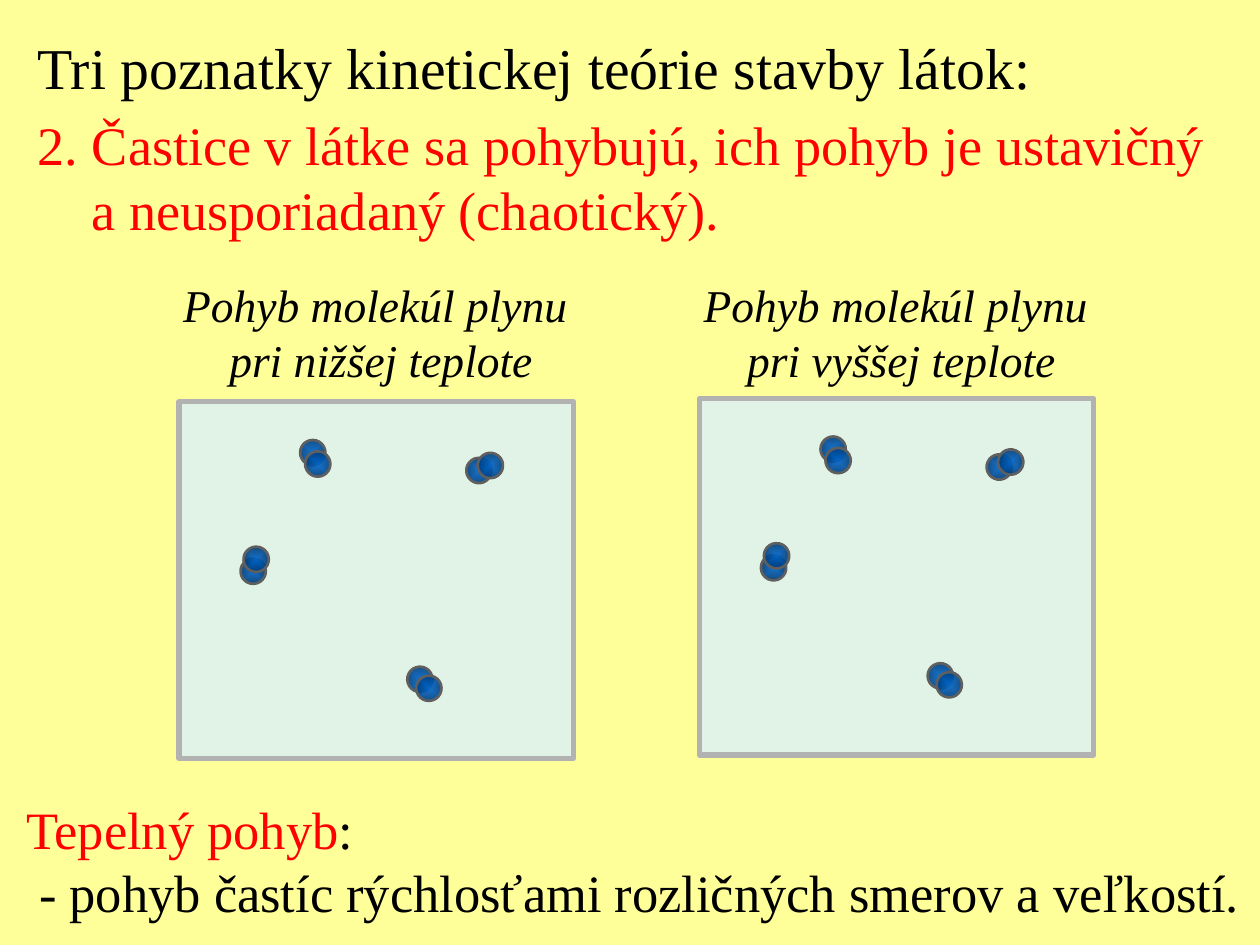
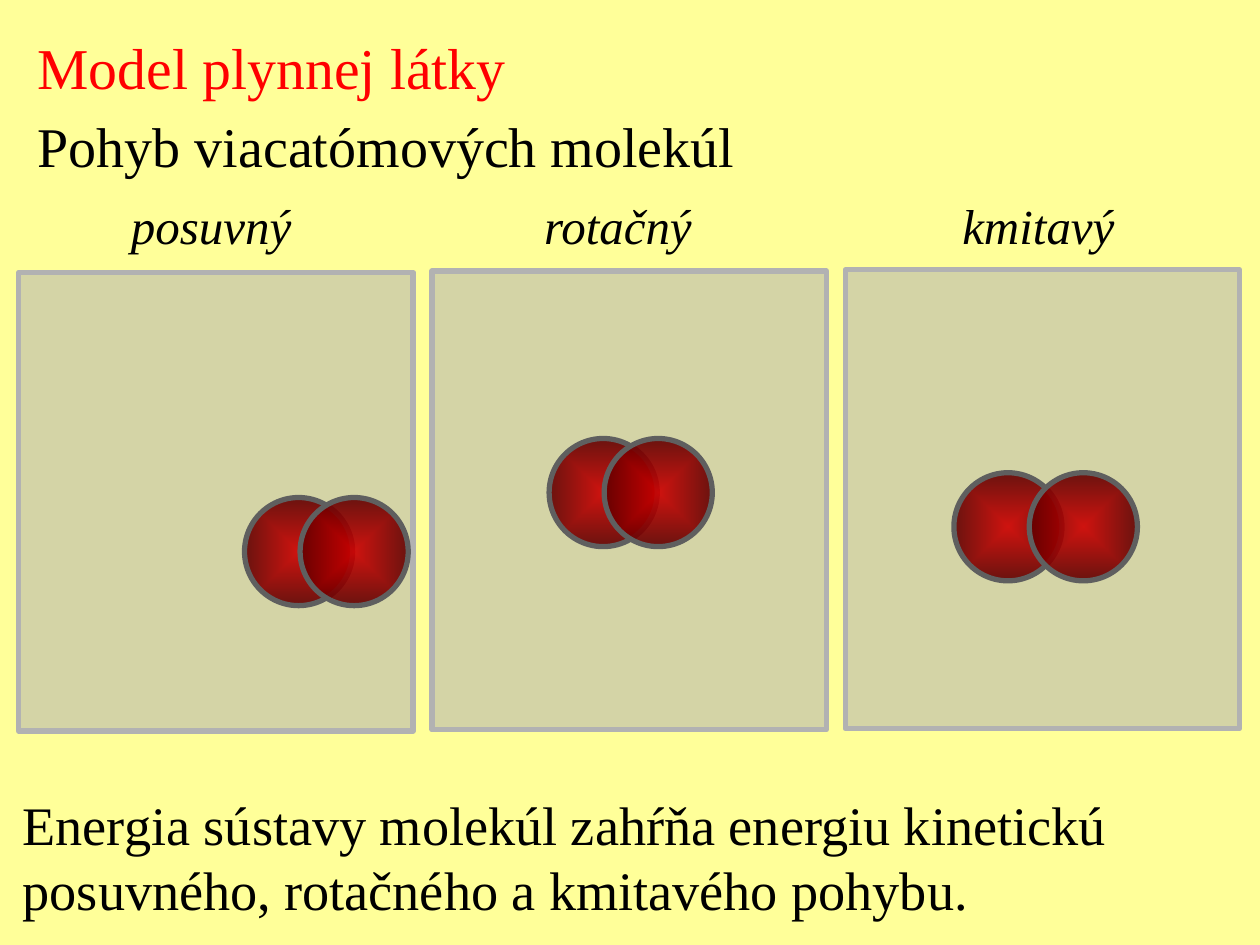
from lxml import etree
from pptx import Presentation
from pptx.dml.color import RGBColor
from pptx.enum.shapes import MSO_SHAPE
from pptx.enum.text import MSO_AUTO_SIZE, PP_ALIGN
from pptx.oxml import parse_xml
from pptx.oxml.ns import nsdecls, qn
from pptx.util import Cm, Pt

RECTANGLE, OVAL = MSO_SHAPE.RECTANGLE, MSO_SHAPE.OVAL
LEFT, CENTER = PP_ALIGN.LEFT, PP_ALIGN.CENTER
FIT_TEXT = MSO_AUTO_SIZE.SHAPE_TO_FIT_TEXT

FONT = "Times New Roman"
COLORS = {
    "background": "FFFF99",
    "text": "000000",
    "accent": "FF0000",
    "gas": "D7F0FF",
    "frame": "B2B2B2",
    "atom_line": "5F5F5F",
    "blue": "0066CC",
    "dark_blue": "002F5E",
    "red": "D00000",
    "dark_red": "5F0000",
}


def add_text(page, left, top, width, height, lines, align=LEFT, italic=False):
    """Each line is (text, size, colour name, indent in cm, points after)."""
    box = page.shapes.add_textbox(Cm(left), Cm(top), Cm(width), Cm(height))
    frame = box.text_frame
    frame.word_wrap = False
    frame.auto_size = FIT_TEXT
    frame.text = "\n".join(line[0] for line in lines)
    for para, (_, size, color, indent, after) in zip(frame.paragraphs, lines):
        para.alignment = align
        para.space_after = Pt(after)
        if indent:
            para._p.get_or_add_pPr().set("marL", str(Cm(indent)))
        font = para.runs[0].font
        font.name, font.size, font.italic = FONT, Pt(size), italic
        font.color.rgb = RGBColor.from_string(COLORS[color])
    return frame


def add_body(shapes, kind, left, top, width, height, fill, alpha, line, line_width):
    """Add a translucent shape; two fill colours make a gradient from the centre."""
    body = shapes.add_shape(kind, Cm(left), Cm(top), Cm(width), Cm(height))
    body.shadow.inherit = False
    body.line.color.rgb = RGBColor.from_string(COLORS[line])
    body.line.width = Pt(line_width)
    body.fill.solid()
    body.fill.fore_color.rgb = RGBColor.from_string(COLORS[fill[0]])
    solid = body._element.spPr.find(qn("a:solidFill"))
    if len(fill) == 1:
        etree.SubElement(solid[0], qn("a:alpha")).set("val", str(alpha * 1000))
        return body
    stops = "".join(
        f'<a:gs pos="{pos}"><a:srgbClr val="{COLORS[name]}">'
        f'<a:alpha val="{alpha * 1000}"/></a:srgbClr></a:gs>'
        for pos, name in zip((0, 100000), fill))
    gradient = parse_xml(
        f'<a:gradFill {nsdecls("a")} rotWithShape="1"><a:gsLst>{stops}</a:gsLst>'
        '<a:path path="rect"><a:fillToRect l="50000" t="50000" r="50000" b="50000"/>'
        '</a:path></a:gradFill>')
    solid.getparent().replace(solid, gradient)
    return body


deck = Presentation()
deck.slide_width, deck.slide_height = Cm(25.4), Cm(19.05)
background = deck.slide_master.background.fill
background.solid()
background.fore_color.rgb = RGBColor.from_string(COLORS["background"])
blank = deck.slide_layouts[6]
PANEL_WIDTH = 7.95

# Slide 1: thermal motion at two temperatures
page = deck.slides.add_slide(blank)
add_text(page, 0.51, 0.51, 24.03, 4.5, [
    ("Tri poznatky kinetickej teórie stavby látok:", 33, "text", 0, 6.1),
    ("2. Častice v látke sa pohybujú, ich pohyb je ustavičný", 31, "accent", 0, 0),
    ("a neusporiadaný (chaotický).", 31, "accent", 1.09, 0),
])
definition = add_text(page, 0.28, 15.95, 25, 2.79, [
    ("Tepelný pohyb", 30, "accent", 0, 0),
    ("- pohyb častíc rýchlosťami rozličných smerov a veľkostí.", 30, "text", 0.26, 0),
])
colon = definition.paragraphs[0].add_run()
colon.text = ":"
colon.font.name, colon.font.size = FONT, Pt(30)
colon.font.color.rgb = RGBColor.from_string(COLORS["text"])

# Rotation, then the place of both atoms within the panel
gas_molecules = [
    (338.7, (5.79, 1.13), (6.02, 1.03)),
    (281.1, (1.24, 3.16), (1.3, 2.92)),
    (42.6, (4.6, 5.34), (4.78, 5.52)),
    (61.2, (2.44, 0.77), (2.54, 1)),
]
for left, top, temperature in [(3.61, 8.1, "nižšej"), (14.1, 8.03, "vyššej")]:
    add_body(page.shapes, RECTANGLE, left, top, PANEL_WIDTH, 7.19,
             ["gas"], 76, "frame", 3)
    for rotation, *atoms in gas_molecules:
        molecule = page.shapes.add_group_shape()
        for x, y in atoms:
            atom = add_body(molecule.shapes, OVAL, left + x, top + y, 0.51, 0.51,
                            ["blue", "dark_blue"], 90, "atom_line", 1.5)
            atom.rotation = rotation
    add_text(page, left - 0.18, 5.46, 8.28, 2.46, [
        ("Pohyb molekúl plynu", 26, "text", 0, 0),
        (f"pri {temperature} teplote", 26, "text", 0.23, 0),
    ], CENTER, italic=True)

# Slide 2: three kinds of molecular motion
page = deck.slides.add_slide(blank)
add_text(page, 0.51, 0.51, 14.86, 3.23, [
    ("Model plynnej látky", 33, "accent", 0, 6.1),
    ("Pohyb viacatómových molekúl", 32, "text", 0, 0),
])
add_text(page, 0.21, 15.82, 22.33, 2.9, [
    ("Energia sústavy molekúl zahŕňa energiu kinetickú", 31, "text", 0, 0),
    ("posuvného, rotačného a kmitavého pohybu.", 31, "text", 0, 0),
])

# Label, its left and width, left and top of the first atom, distance to the second
motions = [
    ("posuvný", 2.39, 3.99, 4.93, 10.03, 1.12),
    ("rotačný", 10.72, 3.76, 11.07, 8.84, 1.11),
    ("kmitavý", 19.15, 3.81, 19.23, 9.53, 1.52),
]
for column, (label, label_left, label_width, x, y, distance) in enumerate(motions):
    add_body(page.shapes, RECTANGLE, 0.38 + 8.33 * column, 5.49 - 0.025 * column,
             PANEL_WIDTH, 9.25, ["frame"], 55, "frame", 3)
    molecule = page.shapes.add_group_shape()
    for atom_left in (x, x + distance):
        add_body(molecule.shapes, OVAL, atom_left, y, 2.18, 2.18,
                 ["red", "dark_red"], 90, "atom_line", 3)
    add_text(page, label_left, 3.81, label_width, 1.45,
             [(label, 28, "text", 0, 0)], italic=True)

deck.save("out.pptx")
